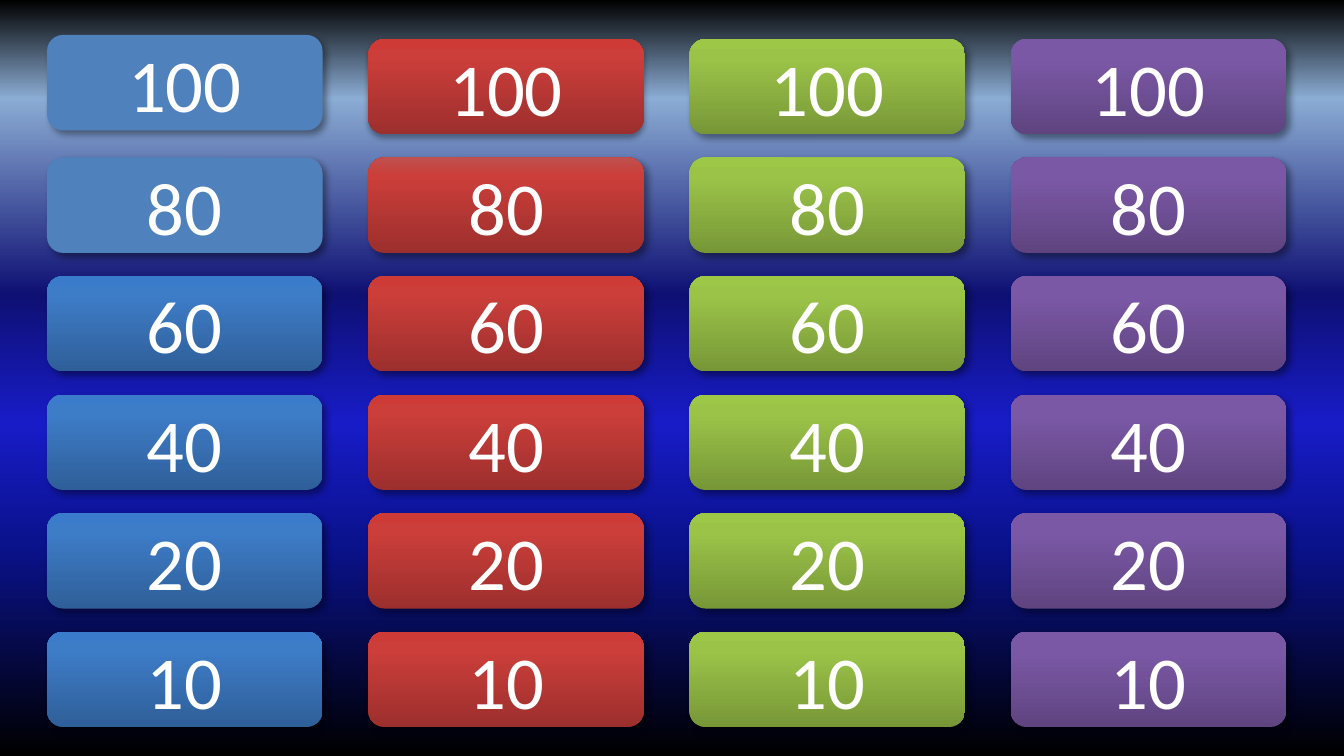
"""Build a quiz board slide: four coloured columns of point buttons."""
from dataclasses import dataclass

from lxml.etree import SubElement
from pptx import Presentation
from pptx.dml.color import RGBColor
from pptx.enum.shapes import MSO_SHAPE
from pptx.enum.text import MSO_ANCHOR, PP_ALIGN
from pptx.oxml.ns import qn
from pptx.util import Inches, Pt


@dataclass(frozen=True)
class Theme:
    font: str = "Calibri"
    size: int = 40
    ink: str = "FFFFFF"
    shade: str = "000000"
    flat: str = "4F81BD"
    glow: str = "C0504D"
    night: tuple = ((0, "000000"), (28, "0A128C"), (44, "181CC7"),
                    (61, "0E1073"), (87, "8BACD3"), (100, "000000"))
    blue: tuple = ("2F5F99", "3D7CC7", "3A7CCB")
    red: tuple = ("9C2F2D", "CB3E3A", "CE3B37")
    green: tuple = ("779737", "9BC348", "9DC746")
    purple: tuple = ("5F4480", "7B58A6", "7C57A8")


def blend(owner, fill, stops):
    fill.gradient()
    fill.gradient_angle = 90
    ramp = owner.element.find(".//" + qn("a:gsLst"))
    ramp.clear()
    for place, color in stops:
        stop = SubElement(ramp, qn("a:gs"), pos=str(place * 1000))
        SubElement(stop, qn("a:srgbClr"), val=color)


def write(shape, text, *, font, size, color):
    frame = shape.text_frame
    frame.word_wrap = True
    frame.vertical_anchor = MSO_ANCHOR.MIDDLE
    line = frame.paragraphs[0]
    line.alignment = PP_ALIGN.CENTER
    run = line.add_run()
    run.text = text
    run.font.name = font
    run.font.size = Pt(size)
    run.font.color.rgb = RGBColor.from_string(color)


theme = Theme()
deck = Presentation()
deck.slide_width, deck.slide_height = Inches(10), Inches(10 * 9 / 16)
slide = deck.slides.add_slide(deck.slide_layouts[6])
blend(slide, slide.background.fill, theme.night)

points = ("100", "80", "60", "40", "20", "10")
hues = {"blue": theme.blue, "red": theme.red,
        "green": theme.green, "purple": theme.purple}
left, top, last = 0.35, 0.29, 4.7
wide, high, pitch = 2.05, 0.71, 2.39
step = (last - top) / (len(points) - 1)
lifted = {("blue", "100"): 0.26}
plain = {("blue", "100"), ("blue", "80")}
tips = {("red", "80"): theme.glow}
soft = {("red", "100"): (35, 3.1, 1.8, 90)}

for col, (hue, tones) in enumerate(hues.items()):
    for row, text in enumerate(points):
        key = hue, text
        y = lifted.get(key, top + row * step)
        button = slide.shapes.add_shape(
            MSO_SHAPE.ROUNDED_RECTANGLE, Inches(left + col * pitch),
            Inches(y), Inches(wide), Inches(high))
        button.name = f"{hue} {text}"
        if key in plain:
            button.fill.solid()
            button.fill.fore_color.rgb = RGBColor.from_string(theme.flat)
        else:
            dark, mid, tip = tones
            blend(button, button.fill,
                  ((0, dark), (80, mid), (100, tips.get(key, tip))))
        button.line.fill.background()

        button.shadow.inherit = False
        alpha, blur, gap, angle = soft.get(key, (40, 4, 3, 45))
        effects = button.element.find(".//" + qn("a:effectLst"))
        cast = SubElement(effects, qn("a:outerShdw"), blurRad=str(Pt(blur)),
                          dist=str(Pt(gap)), dir=str(angle * 60000),
                          algn="tl", rotWithShape="0")
        tint = SubElement(cast, qn("a:srgbClr"), val=theme.shade)
        SubElement(tint, qn("a:alpha"), val=str(alpha * 1000))

        write(button, text, font=theme.font, size=theme.size, color=theme.ink)

deck.save("out.pptx")
